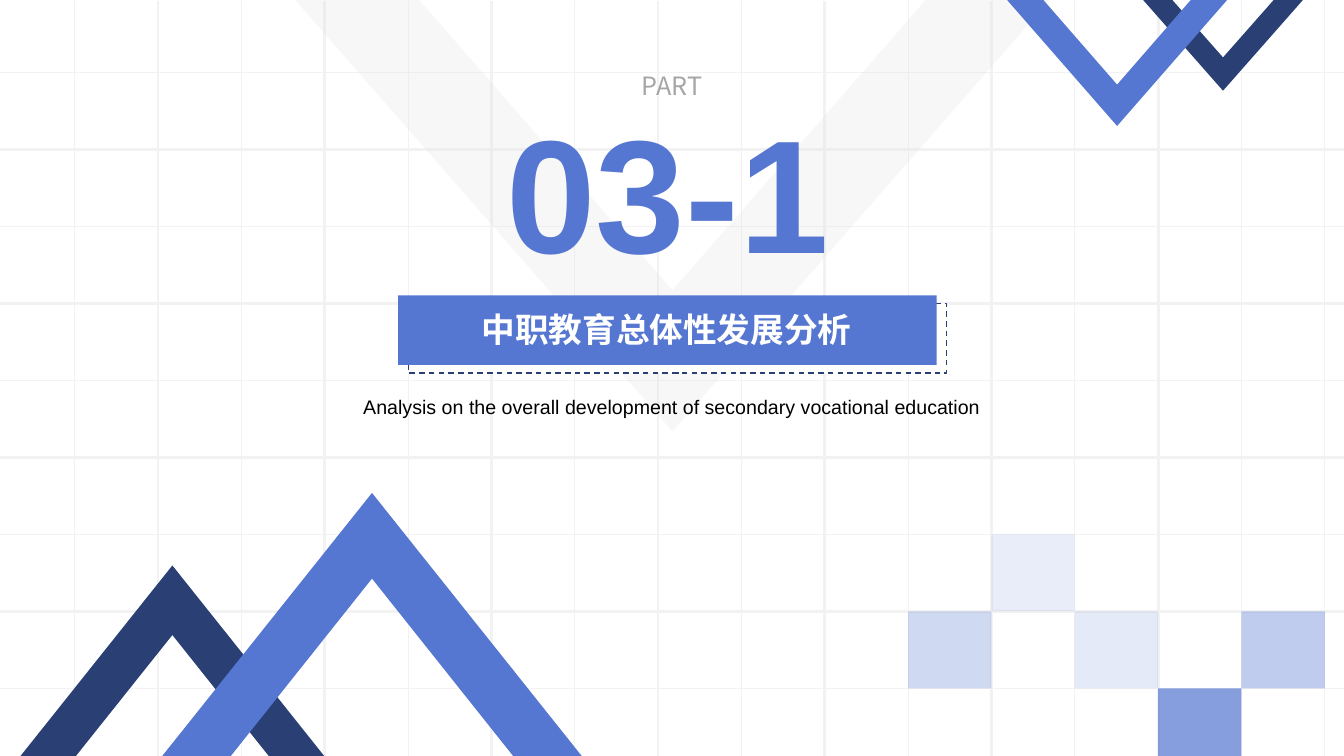
from lxml.etree import SubElement
from pptx import Presentation
from pptx.dml.color import RGBColor as RGB
from pptx.enum.dml import MSO_LINE
from pptx.enum.shapes import MSO_CONNECTOR as LINK, MSO_SHAPE as KIND
from pptx.enum.text import MSO_ANCHOR as ANCHOR, PP_ALIGN as ALIGN
from pptx.oxml.ns import qn
from pptx.util import Inches, Pt

BLUE = RGB(0x55, 0x77, 0xD1)
NAVY = RGB(0x2A, 0x3F, 0x74)
WHITE = RGB(0xFF, 0xFF, 0xFF)
BLACK = RGB(0x00, 0x00, 0x00)
PALE = RGB(0xF2, 0xF2, 0xF2)
GRAY = RGB(0xD9, 0xD9, 0xD9)
DIM = RGB(0xA6, 0xA6, 0xA6)

WIDE, HIGH = 13.33, 7.5
LEFT, TOP = 0.74, 0.72
COLS, ROWS = 16, 9
STEP_X, STEP_Y = 12.4 / 15, 6.11 / 8
TILES = [(10, 7, 28), (11, 6, 13), (12, 7, 15), (13, 8, 71), (14, 7, 37)]
PEAKS = [
    (6.67, 3.75, 2.52, -0.01, 4.28, 2.88, GRAY, 20),
    (12.13, 0.81, 0.52, -0.02, 0.9, 0.57, NAVY, 100),
    (11.08, 1.1, 0.74, -0.01, 1.25, 0.84, BLUE, 100),
    (1.71, 1.53, 0.98, 7.53, 5.61, 6.3, NAVY, 100),
    (3.69, 2.08, 1.4, 7.5, 4.89, 5.74, BLUE, 100),
]


def paint(shape, color, alpha=100):
    """Fill a shape with a colour of the given opacity, without line or shadow."""
    shape.shadow.inherit = False
    shape.line.fill.background()
    shape.fill.solid()
    shape.fill.fore_color.rgb = color
    if alpha < 100:
        tone = shape.fill._xPr.find(".//" + qn("a:srgbClr"))
        SubElement(tone, qn("a:alpha")).set("val", str(alpha * 1000))


def add_rule(slide, x1, y1, x2, y2, width):
    """Draw one line of the background grid."""
    rule = slide.shapes.add_connector(
        LINK.STRAIGHT, Inches(x1), Inches(y1), Inches(x2), Inches(y2))
    rule.line.color.rgb = PALE
    rule.line.width = Pt(width)
    SubElement(rule._element.spPr, qn("a:effectLst"))


def add_grid(slide):
    """Draw the grid, with every other line heavy."""
    for row in range(ROWS):
        y = TOP + row * STEP_Y
        add_rule(slide, 0, y, WIDE, y, 2 if row % 2 else 0.5)
    for col in range(COLS):
        x = LEFT + col * STEP_X
        heavy = col % 2 and col < COLS - 1
        add_rule(slide, x, 0.01, x, HIGH, 2 if heavy else 0.5)


def add_box(slide, x, y, width, height, color, alpha=100):
    """Add a plain filled rectangle."""
    box = slide.shapes.add_shape(
        KIND.RECTANGLE, Inches(x), Inches(y), Inches(width), Inches(height))
    paint(box, color, alpha)
    return box


def add_tile(slide, col, row, alpha):
    """Tint one cell of the grid."""
    x, y = LEFT + col * STEP_X, TOP + row * STEP_Y
    add_box(slide, x, y, STEP_X, min(STEP_Y, HIGH - y), BLUE, alpha)


def add_peak(slide, mid, outer, inner, base, tip, notch, color, alpha):
    """Draw a chevron, symmetric about its middle."""
    points = [(mid - outer, base), (mid - inner, base), (mid, notch),
              (mid + inner, base), (mid + outer, base), (mid, tip)]
    spots = [(Inches(x), Inches(y)) for x, y in points]
    path = slide.shapes.build_freeform(*spots[0])
    path.add_line_segments(spots[1:], close=True)
    paint(path.convert_to_shape(), color, alpha)


def set_text(shape, text, size, face, color, bold=False,
             anchor=ANCHOR.MIDDLE, space=1.0):
    """Write one centred paragraph into a shape."""
    frame = shape.text_frame
    frame.word_wrap = True
    frame.vertical_anchor = anchor
    frame.text = text
    para = frame.paragraphs[0]
    para.alignment = ALIGN.CENTER
    para.line_spacing = space
    font = para.font
    font.size = Pt(size)
    font.bold = bold
    font.color.rgb = color
    font.name = face
    SubElement(font._rPr, qn("a:ea")).set("typeface", face)


def add_text(slide, x, y, width, height, *args, **style):
    """Add a text box with one paragraph."""
    box = slide.shapes.add_textbox(
        Inches(x), Inches(y), Inches(width), Inches(height))
    set_text(box, *args, **style)


def add_title(slide):
    """Place the title on its banner with a dashed frame behind."""
    frame = add_box(slide, 4.05, 3.01, 5.34, 0.69, WHITE)
    frame.line.color.rgb = NAVY
    frame.line.width = Pt(1)
    frame.line.dash_style = MSO_LINE.DASH
    add_box(slide, 3.95, 2.93, 5.34, 0.69, BLUE)
    title = slide.shapes.title
    title.left, title.top = Inches(3.94), Inches(3.01)
    title.width, title.height = Inches(5.34), Inches(0.5)
    set_text(title, "中职教育总体性发展分析", 24, "Noto Sans CJK JP", WHITE, bold=True)
    slide.shapes._spTree.append(title._element)


def main():
    """Build and save the section slide."""
    deck = Presentation()
    deck.slide_width, deck.slide_height = Inches(WIDE), Inches(HIGH)
    slide = deck.slides.add_slide(deck.slide_layouts[5])
    add_grid(slide)
    for tile in TILES:
        add_tile(slide, *tile)
    for peak in PEAKS:
        add_peak(slide, *peak)
    add_text(slide, 4.49, 0.84, 4.26, 2.04, "03-1", 115, "Arial", BLUE,
             bold=True, anchor=ANCHOR.BOTTOM)
    add_text(slide, 5.24, 0.65, 2.85, 0.4, "PART", 18, "Noto Sans CJK SC", DIM)
    add_text(slide, 3.48, 3.75, 6.37, 0.45,
             "Analysis on the overall development of secondary vocational education",
             14, "Arial", BLACK, space=1.5)
    add_title(slide)
    deck.save("out.pptx")


if __name__ == "__main__":
    main()
